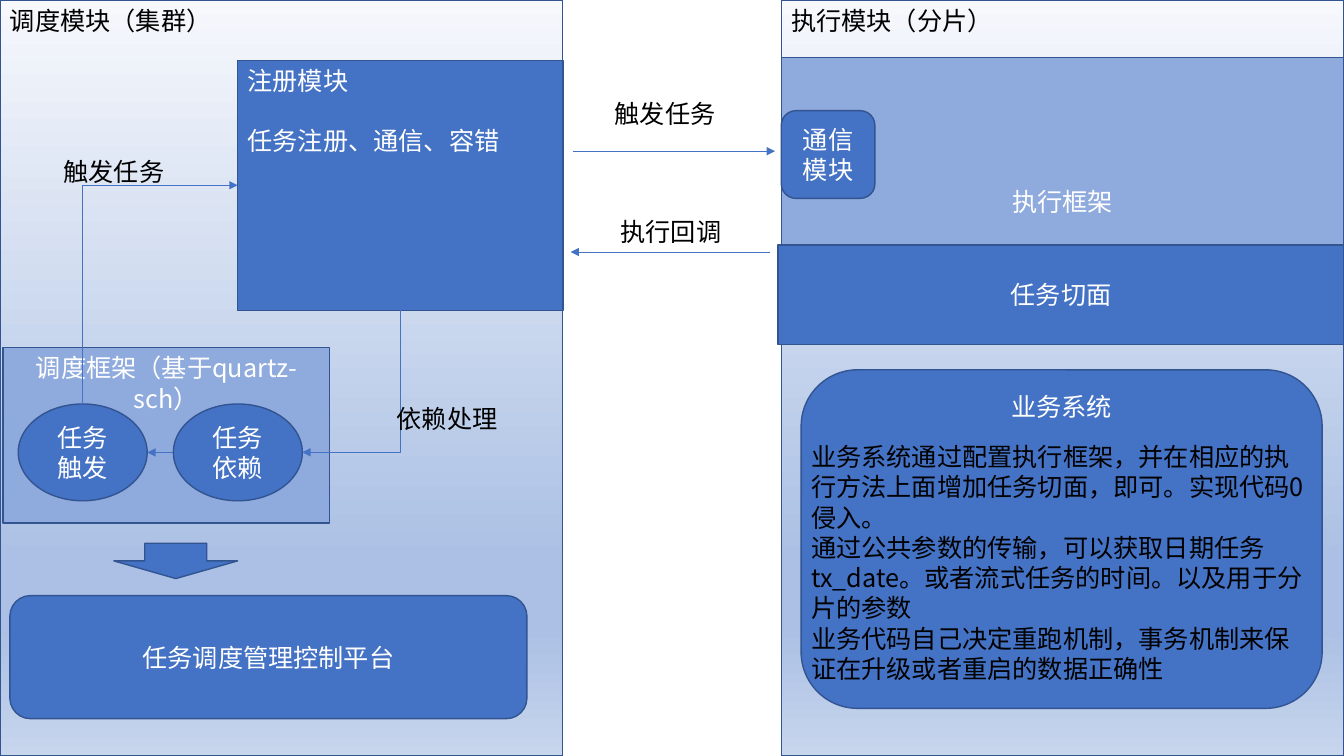
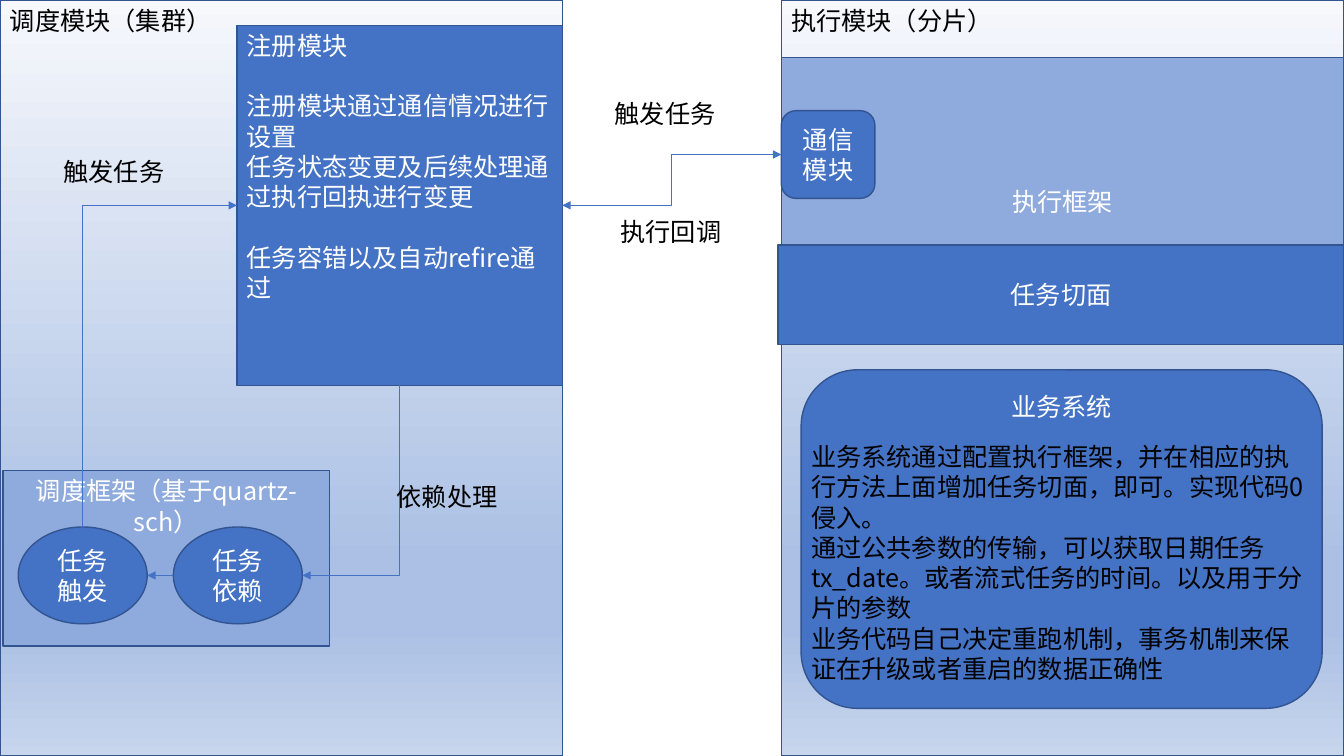
import copy

import lxml.etree
import pptx
import pptx.dml.color
import pptx.enum.dml
import pptx.enum.shapes
import pptx.enum.text
import pptx.oxml.ns
import pptx.util

Cm, Pt = pptx.util.Cm, pptx.util.Pt
SHAPE = pptx.enum.shapes.MSO_SHAPE
CONNECTOR = pptx.enum.shapes.MSO_CONNECTOR
ALIGN = pptx.enum.text.PP_ALIGN
ANCHOR = pptx.enum.text.MSO_ANCHOR
qn = pptx.oxml.ns.qn

FONT = "Noto Sans CJK SC"
SLIDE_W, SLIDE_H = 33.87, 19.05
PANEL_W = 14.18
BLUE, PALE, EDGE = "4472C4", "8FAADC", "325491"
BLACK, WHITE = "000000", "FFFFFF"
GRADIENT = [(0, "F6F8FC"), (0.74, "ABC0E4"), (0.83, "ABC0E4"), (1, "C7D5ED")]
LINE_GAP = Pt(21.6)

# Connection site of each side: index, then share of width and height
RECT_SITES = {"top": (0, 0.5, 0), "left": (1, 0, 0.5),
              "bottom": (2, 0.5, 1), "right": (3, 1, 0.5)}
OVAL_SITES = {"top": (0, 0.5, 0), "left": (2, 0, 0.5),
              "bottom": (4, 0.5, 1), "right": (6, 1, 0.5)}

BUSINESS_NOTES = [
    "业务系统通过配置执行框架，并在相应的执行方法上面增加任务切面，即可。实现代码0侵入。",
    "通过公共参数的传输，可以获取日期任务tx_date。或者流式任务的时间。以及用于分片的参数",
    "业务代码自己决定重跑机制，事务机制来保证在升级或者重启的数据正确性",
]


def rgb(value):
    return pptx.dml.color.RGBColor.from_string(value)


def apply(obj, formats):
    for name, value in formats.items():
        setattr(obj, name, value)


def write(sp, lines, color, align=ALIGN.LEFT, gaps=(), **frame):
    """Fill a shape with paragraphs; gaps lists those with a line's space above."""
    tf = sp.text_frame
    apply(tf, {"word_wrap": True, "vertical_anchor": ANCHOR.TOP, **frame})
    for i, line in enumerate(lines):
        p = tf.paragraphs[0] if i == 0 else tf.add_paragraph()
        p.alignment = align
        if i in gaps:
            p.space_before = LINE_GAP
        r = p.add_run()
        r.text = line
        apply(r.font, {"size": Pt(18), "name": FONT})
        r.font.color.rgb = rgb(color)
        ea = lxml.etree.SubElement(r.font._element, qn("a:ea"))
        ea.set("typeface", FONT)


def block(s, kind, x, y, w, h, fill=BLUE):
    sp = s.shapes.add_shape(kind, Cm(x), Cm(y), Cm(w), Cm(h))
    sp.shadow.inherit = False
    sp.fill.solid()
    sp.fill.fore_color.rgb = rgb(fill)
    sp.line.color.rgb = rgb(EDGE)
    sp.line.width = Pt(1)
    return sp


def centred(s, kind, x, y, w, h, text, fill=BLUE, anchor=ANCHOR.MIDDLE):
    sp = block(s, kind, x, y, w, h, fill)
    write(sp, [text], WHITE, ALIGN.CENTER, vertical_anchor=anchor)
    return sp


def label(s, x, y, text):
    sp = s.shapes.add_textbox(Cm(x), Cm(y), Cm(3.07), Cm(1.02))
    write(sp, [text], BLACK, word_wrap=False,
          auto_size=pptx.enum.text.MSO_AUTO_SIZE.SHAPE_TO_FIT_TEXT)


def panel(s, x, y, title):
    sp = block(s, SHAPE.RECTANGLE, x, y, PANEL_W, SLIDE_H)
    sp.fill.gradient()
    sp.fill.gradient_angle = 270
    stops = sp.element.find(".//" + qn("a:gsLst"))
    while len(stops) < len(GRADIENT):
        stops.append(copy.deepcopy(stops[0]))
    for stop, (position, color) in zip(sp.fill.gradient_stops, GRADIENT):
        stop.position = position
        stop.color.rgb = rgb(color)
    write(sp, [title], BLACK)


def arrow(s, kind, begin, end, heads=("tailEnd",)):
    """Draw a thin connector; headEnd is the arrowhead at its beginning."""
    cn = s.shapes.add_connector(kind, *begin, *end)
    cn.line.color.rgb = rgb(BLUE)
    cn.line.width = Pt(0.5)
    ln = cn.element.spPr.find(qn("a:ln"))
    for head in heads:
        lxml.etree.SubElement(ln, qn("a:" + head)).set("type", "triangle")
    lxml.etree.SubElement(cn.element.spPr, qn("a:effectLst"))
    return cn


def link(s, kind, begin, end, heads=("tailEnd",), corner=False):
    """Join two shapes, each given as (shape, side); corner bends only once."""
    points, glue = [], []
    for tag, (sp, side) in zip(("a:stCxn", "a:endCxn"), (begin, end)):
        oval = sp.auto_shape_type == SHAPE.OVAL
        idx, fx, fy = (OVAL_SITES if oval else RECT_SITES)[side]
        points.append((int(sp.left + sp.width * fx), int(sp.top + sp.height * fy)))
        glue.append((tag, sp.shape_id, idx))
    cn = arrow(s, kind, *points, heads)
    holder = cn.element.find(".//" + qn("p:cNvCxnSpPr"))
    for tag, shape_id, idx in glue:
        site = lxml.etree.SubElement(holder, qn(tag))
        site.set("id", str(shape_id))
        site.set("idx", str(idx))
    if corner:
        cn.element.spPr.find(qn("a:prstGeom")).set("prst", "bentConnector2")


def register_module(s, x, y, h, lines, gaps):
    sp = block(s, SHAPE.RECTANGLE, x, y, 8.2, h)
    write(sp, lines, WHITE, gaps=gaps)
    return sp


def schedule_framework(s, x, y):
    centred(s, SHAPE.RECTANGLE, x, y, 8.23, 4.42, "调度框架（基于quartz-sch）",
            PALE, ANCHOR.TOP)
    trigger, depend = [
        centred(s, SHAPE.OVAL, x + 0.38 + i * 3.91, y + 1.42, 3.25, 2.44, text)
        for i, text in enumerate(("任务触发", "任务依赖"))]
    link(s, CONNECTOR.STRAIGHT, (depend, "left"), (trigger, "right"))
    return trigger, depend


def schedule_panel(s, x, y, register, framework_y, depend_label_y):
    panel(s, x, y, "调度模块（集群）")
    reg = register_module(s, **register)
    trigger, depend = schedule_framework(s, x + 0.08, y + framework_y)
    for side, oval, oval_side in (("left", trigger, "top"),
                                  ("bottom", depend, "right")):
        if side == "left":
            ends, heads = ((reg, side), (oval, oval_side)), ("headEnd",)
        else:
            ends, heads = ((oval, oval_side), (reg, side)), ("headEnd",)
        link(s, CONNECTOR.ELBOW, *ends, heads, corner=True)
    label(s, x + 1.35, y + 3.81, "触发任务")
    label(s, x + 9.75, y + depend_label_y, "依赖处理")
    return reg


def execute_panel(s, x, y):
    panel(s, x, y, "执行模块（分片）")
    centred(s, SHAPE.RECTANGLE, x, y + 1.45, PANEL_W, 7.24, "执行框架", PALE)
    centred(s, SHAPE.RECTANGLE, x - 0.08, y + 6.17, PANEL_W + 0.08, 2.51, "任务切面")
    centred(s, SHAPE.ROUNDED_RECTANGLE, x + 0.5, y + 9.32, 13.13, 8.53, "业务系统",
            anchor=ANCHOR.TOP)
    notes = s.shapes.add_textbox(Cm(x + 0.5), Cm(y + 11), Cm(13.13), Cm(6.4))
    write(notes, BUSINESS_NOTES, BLACK)
    return centred(s, SHAPE.ROUNDED_RECTANGLE, x, y + 2.79, 2.36, 2.21, "通信模块")


def control_platform(s, x, y):
    block(s, SHAPE.DOWN_ARROW, x + 2.62, y, 3.12, 0.89)
    centred(s, SHAPE.ROUNDED_RECTANGLE, x, y + 1.32, 13.03, 3.1, "任务调度管理控制平台")


def architecture_slide(prs, **schedule):
    s = prs.slides.add_slide(prs.slide_layouts[6])
    reg = schedule_panel(s, 0, 0, **schedule)
    comm = execute_panel(s, SLIDE_W - PANEL_W, 0)
    label(s, 15.24, 2.36, "触发任务")
    label(s, 15.39, 5.33, "执行回调")
    return s, reg, comm


def main():
    prs = pptx.Presentation()
    apply(prs, {"slide_width": Cm(SLIDE_W), "slide_height": Cm(SLIDE_H)})

    s, reg, comm = architecture_slide(
        prs, framework_y=8.76, depend_label_y=10.03,
        register={"x": 5.99, "y": 1.52, "h": 6.3, "gaps": (1,),
                  "lines": ["注册模块", "任务注册、通信、容错"]})
    for x1, x2, y in ((14.45, 19.53, 3.81), (19.41, 14.38, 6.35)):
        arrow(s, CONNECTOR.STRAIGHT, (Cm(x1), Cm(y)), (Cm(x2), Cm(y)))
    control_platform(s, 0.25, 13.69)

    s, reg, comm = architecture_slide(
        prs, framework_y=11.86, depend_label_y=12.01,
        register={"x": 5.97, "y": 0.64, "h": 9.07, "gaps": (1, 3),
                  "lines": ["注册模块", "注册模块通过通信情况进行设置",
                            "任务状态变更及后续处理通过执行回执进行变更",
                            "任务容错以及自动refire通过"]})
    link(s, CONNECTOR.ELBOW, (reg, "right"), (comm, "left"), ("headEnd", "tailEnd"))

    prs.save("out.pptx")


if __name__ == "__main__":
    main()
